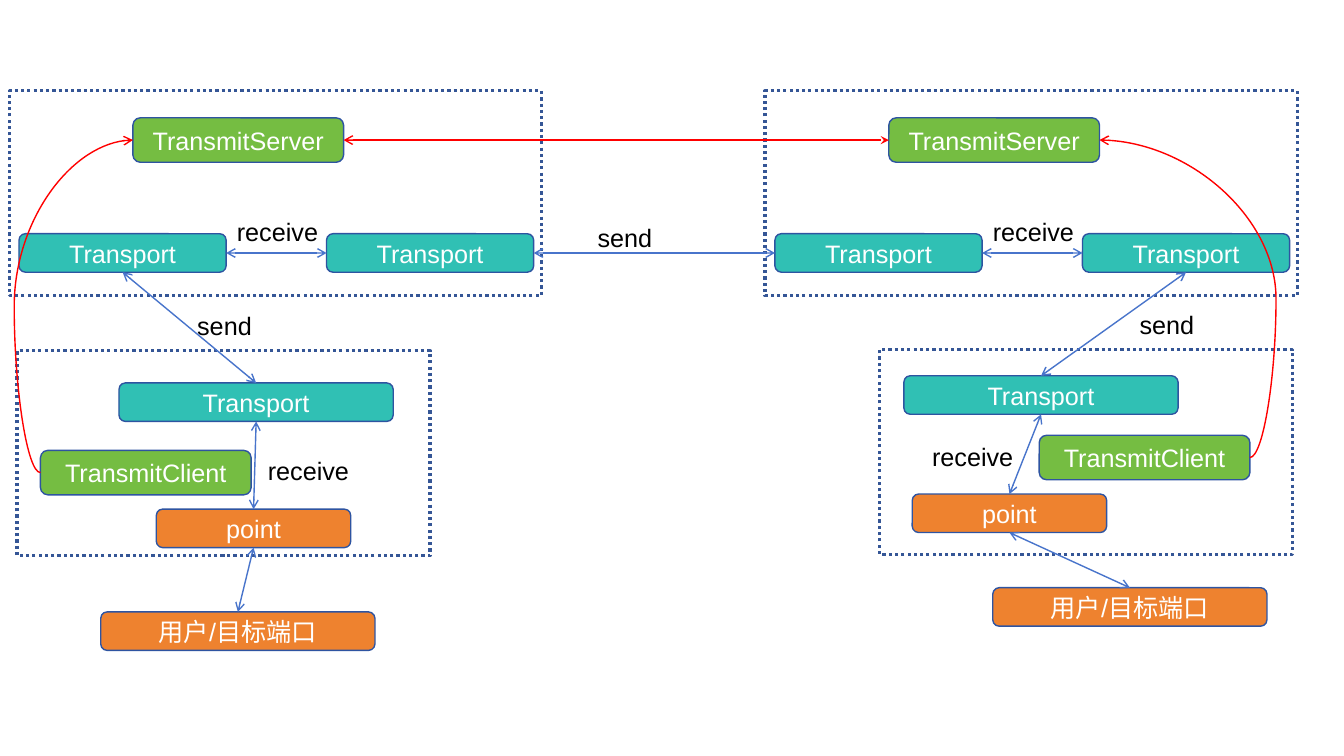
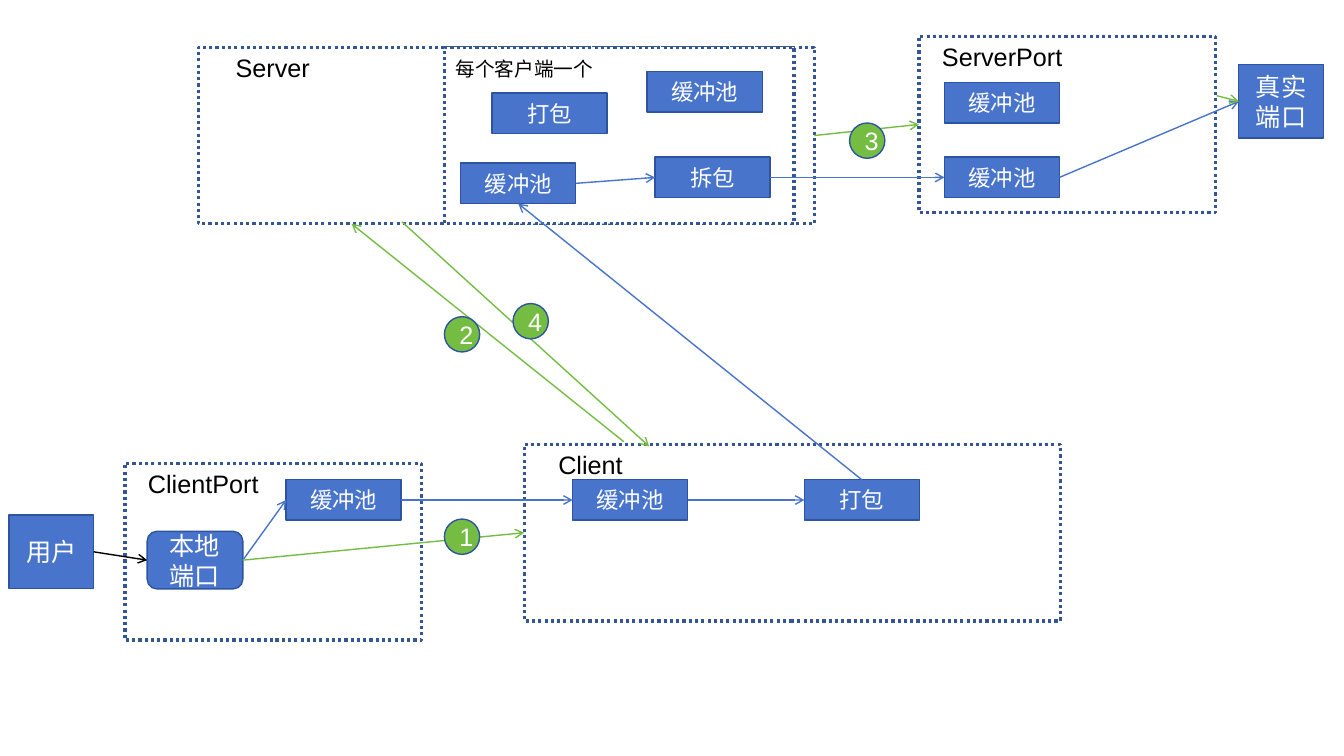
"""Draw the transport links and the packet flow on two slides."""
from lxml.etree import SubElement
from pptx import Presentation
from pptx.dml.color import RGBColor
from pptx.enum.dml import MSO_LINE
from pptx.enum.shapes import MSO_CONNECTOR, MSO_SHAPE
from pptx.enum.text import MSO_ANCHOR, PP_ALIGN
from pptx.oxml.ns import qn
from pptx.util import Cm, Pt

HUES = {
    "white": "FFFFFF", "black": "000000", "red": "FF0000",
    "blue": "4874CB", "green": "75BD42", "teal": "30C0B4",
    "amber": "EE822F", "edge": "2E54A1", "frame": "355696",
}
FRAME = {"width": Pt(2.25), "dash_style": MSO_LINE.ROUND_DOT}
THIN = {"width": Pt(1)}
BODY = {"word_wrap": True, "vertical_anchor": MSO_ANCHOR.MIDDLE}
NOTE = {"word_wrap": True, "vertical_anchor": MSO_ANCHOR.TOP}
TOP, LEFT, BASE, RIGHT = range(4)
ROUND, RECT = MSO_SHAPE.ROUNDED_RECTANGLE, MSO_SHAPE.RECTANGLE


def put(item, vals):
    for name, val in vals.items():
        setattr(item, name, val)


def tint(fill, hue):
    fill.solid()
    fill.fore_color.rgb = RGBColor.from_string(HUES[hue])


def port(end):
    item, side = end
    if side is None:
        return tuple(Cm(n) for n in item)
    x, y, w, h = item.left, item.top, item.width, item.height
    return {TOP: (x + w // 2, y), LEFT: (x, y + h // 2),
            BASE: (x + w // 2, y + h), RIGHT: (x + w, y + h // 2)}[side]


class Deck:
    def __init__(self):
        self.show = Presentation()
        put(self.show, {"slide_width": Cm(33.87), "slide_height": Cm(19.05)})
        self.slide = None

    def page(self):
        self.slide = self.show.slides.add_slide(self.show.slide_layouts[6])

    def form(self, kind, area, hue, edge, line):
        item = self.slide.shapes.add_shape(kind, *(Cm(n) for n in area))
        item.shadow.inherit = False
        tint(item.fill, hue)
        tint(item.line.fill, edge)
        put(item.line, line)
        return item

    def text(self, item, words, hue, size, align, body):
        put(item.text_frame, body)
        para = item.text_frame.paragraphs[0]
        para.alignment = align
        run = para.add_run()
        run.text = words
        put(run.font, {"name": "Arial", "size": Pt(size)})
        tint(run.font.fill, hue)

    def frame(self, *area):
        return self.form(RECT, area, "white", "frame", FRAME)

    def box(self, words, area, hue="blue", kind=ROUND, size=18):
        item = self.form(kind, area, hue, "edge", THIN)
        self.text(item, words, "white", size, PP_ALIGN.CENTER, BODY)
        return item

    def cell(self, words, x, y):
        return self.box(words, (x, y, 2.9, 1.02), kind=RECT, size=16)

    def note(self, words, x, y, w=2.95, size=18):
        item = self.slide.shapes.add_textbox(Cm(x), Cm(y), Cm(w), Cm(0.89))
        self.text(item, words, "black", size, PP_ALIGN.LEFT, NOTE)

    def link(self, start, stop, hue="blue", head=None, tail="arrow", bend=None):
        kind = MSO_CONNECTOR.STRAIGHT if bend is None else MSO_CONNECTOR.CURVE
        line = self.slide.shapes.add_connector(kind, *port(start), *port(stop))
        for (item, side), join in ((start, line.begin_connect), (stop, line.end_connect)):
            if side is not None:
                join(item, side)
        tint(line.line.fill, hue)
        put(line.line, THIN)
        props = line._element.spPr
        for tag, tip in (("a:headEnd", head), ("a:tailEnd", tail)):
            if tip:
                SubElement(props.find(qn("a:ln")), qn(tag), type=tip)
        SubElement(props, qn("a:effectLst"))
        if bend is not None:
            guides = props.find(qn("a:prstGeom")).find(qn("a:avLst"))
            SubElement(guides, qn("a:gd"), name="adj1", fmla=f"val {bend}")

    def both(self, start, stop):
        self.link(start, stop, head="arrow")


def hosts(deck):
    deck.page()
    tops = []
    for x in (0, 19.05):
        deck.frame(x + 0.23, 2.29, 13.41, 5.16)
        main = deck.box("TransmitServer", (x + 3.35, 2.97, 5.31, 1.12), "green")
        pair = [deck.box("Transport", (x + n, 5.89, 5.22, 0.97), "teal")
                for n in (0.48, 8.23)]
        deck.both((pair[0], RIGHT), (pair[1], LEFT))
        deck.note("receive", x + 5.72, 5.33)
        tops.append((main, pair))
    (west, inner), (east, outer) = tops
    deck.both((inner[1], RIGHT), (outer[0], LEFT))
    deck.note("send", 14.81, 5.49)
    deck.link((west, RIGHT), (east, LEFT), "red", "arrow", "stealth")

    sides = (
        (west, inner[0], LEFT, -28400, (0.43, 8.84), (3, 9.65), (1.02, 11.35),
         (3.94, 12.83), (2.54, 15.42), (4.72, 7.7), (6.5, 11.35)),
        (east, outer[1], RIGHT, -17400, (22.17, 8.81), (22.78, 9.47), (26.19, 10.97),
         (22.99, 12.45), (25.02, 14.81), (28.47, 7.67), (23.24, 11)),
    )
    for main, hub, side, bend, zone, mid, peer, dot, user, send, get in sides:
        deck.frame(*zone, 10.41, 5.16)
        node = deck.box("Transport", (*mid, 6.91, 0.97), "teal")
        peer = deck.box("TransmitClient", (*peer, 5.31, 1.12), "green")
        dot = deck.box("point", (*dot, 4.9, 0.97), "amber")
        user = deck.box("用户/目标端口", (*user, 6.91, 0.97), "amber")
        for start, stop in ((hub, node), (node, dot), (dot, user)):
            deck.both((start, BASE), (stop, TOP))
        deck.link((peer, side), (main, side), "red", bend=bend)
        deck.note("send", *send)
        deck.note("receive", *get)


def flow(deck):
    deck.page()
    zones = {}
    for name, x, y, w, inset in (
            ("Server", 5, 1.19, 15.52, 0.69), ("ClientPort", 3.15, 11.68, 7.47, 0.33),
            ("Client", 13.21, 11.2, 13.51, 0.61), ("ServerPort", 23.16, 0.91, 7.47, 0.33)):
        zones[name] = deck.frame(x, y, w, 4.45)
        deck.note(name, x + inset, y, 4.22)
    deck.frame(11.2, 1.19, 8.81, 4.45)
    deck.note("每个客户端一个", 11.23, 1.3, 4.06, 14)

    goal = deck.box("真实端口", (31.22, 1.63, 2.13, 1.85), kind=RECT)
    user = deck.box("用户", (0.23, 12.98, 2.13, 1.85), kind=RECT)
    local = deck.box("本地端口", (3.71, 13.39, 2.41, 1.45))
    cells = [deck.cell(*spec) for spec in (
        ("缓冲池", 7.21, 12.09), ("缓冲池", 14.43, 12.09), ("打包", 20.27, 12.09),
        ("缓冲池", 11.61, 4.11), ("拆包", 16.51, 3.96), ("缓冲池", 23.8, 3.96))]
    for spec in (("缓冲池", 23.8, 2.08), ("缓冲池", 16.31, 1.8), ("打包", 12.4, 2.34)):
        deck.cell(*spec)

    deck.link((user, RIGHT), (local, LEFT), "black")
    for run in ([local, *cells[:3]], [*cells[3:], goal]):
        for start, stop in zip(run, run[1:]):
            deck.link((start, RIGHT), (stop, LEFT))
    deck.link((cells[2], TOP), (cells[3], BASE))
    for start, stop in (
            ((local, RIGHT), (zones["Client"], LEFT)),
            (((15.72, 11.13), None), ((8.86, 5.64), None)),
            ((zones["Server"], RIGHT), (zones["ServerPort"], LEFT)),
            (((10.13, 5.59), None), ((16.36, 11.25), None)),
            (((30.66, 2.41), None), (goal, LEFT))):
        deck.link(start, stop, "green")
    spots = ((11.2, 13.08), (11.2, 7.98), (21.41, 3.1), (12.93, 7.65))
    for step, spot in enumerate(spots, 1):
        deck.box(str(step), (*spot, 0.89, 0.89), "green", MSO_SHAPE.FLOWCHART_CONNECTOR)


def main():
    deck = Deck()
    hosts(deck)
    flow(deck)
    deck.show.save("out.pptx")


if __name__ == "__main__":
    main()
